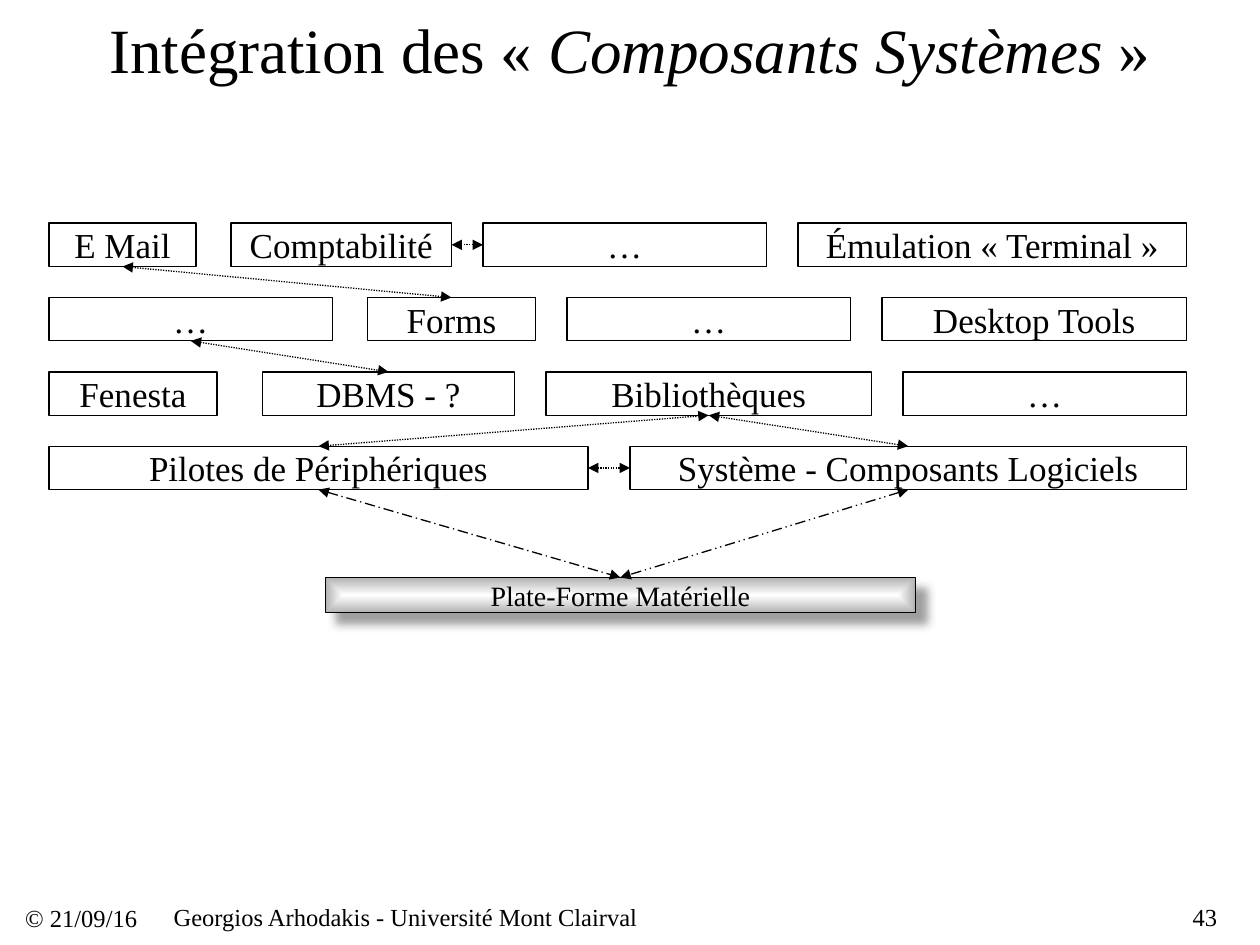
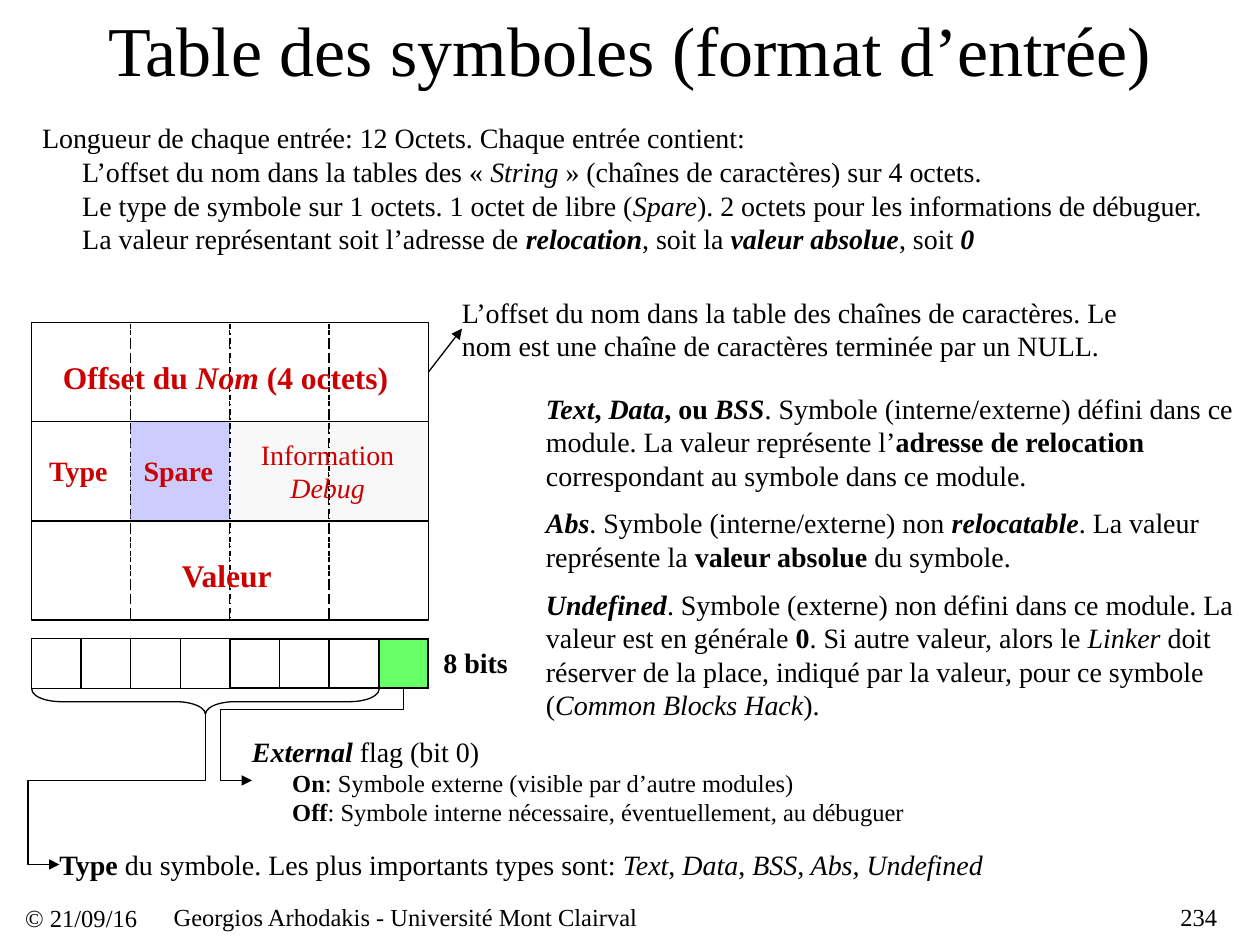
from dataclasses import dataclass
from typing import NamedTuple, Optional

from lxml import etree
from pptx import Presentation
from pptx.dml.color import RGBColor
from pptx.enum.dml import MSO_LINE
from pptx.enum.shapes import MSO_CONNECTOR, MSO_SHAPE
from pptx.enum.text import MSO_ANCHOR, PP_ALIGN
from pptx.oxml.ns import qn
from pptx.util import Pt

BLACK = RGBColor(0x00, 0x00, 0x00)
WHITE = RGBColor(0xFF, 0xFF, 0xFF)
STEEL = RGBColor(0xB2, 0xB2, 0xB2)
RED = RGBColor(0xCC, 0x00, 0x00)
LAVENDER = RGBColor(0xCC, 0xCC, 0xFF)
PALE = RGBColor(0xF8, 0xF8, 0xF8)
GREEN = RGBColor(0x66, 0xFF, 0x66)
FONT = "Times New Roman"
LEFT, CENTER, RIGHT = PP_ALIGN.LEFT, PP_ALIGN.CENTER, PP_ALIGN.RIGHT
RECT, BRACE = MSO_SHAPE.RECTANGLE, MSO_SHAPE.LEFT_BRACE
STRAIGHT, ELBOW = MSO_CONNECTOR.STRAIGHT, MSO_CONNECTOR.ELBOW
DOTS, DASH_DOT = MSO_LINE.ROUND_DOT, MSO_LINE.DASH_DOT
LONG_DASH, LONG_DASH_2 = MSO_LINE.LONG_DASH_DOT, MSO_LINE.DASH_DOT_DOT
TOP_SIDE, LEFT_SIDE, BOTTOM_SIDE, RIGHT_SIDE = range(4)


class Box(NamedTuple):
    x: float
    y: float
    w: float
    h: float


class Run(NamedTuple):
    text: str
    style: str = ""  # any of "b" (bold) and "i" (italic)


@dataclass
class Para:
    runs: list[Run]
    size: float = 16
    color: RGBColor = BLACK
    align: PP_ALIGN = LEFT
    indent: float = 0
    after: float = 0


class Component(NamedTuple):
    label: str
    x: float
    w: float


class Link(NamedTuple):
    start: tuple[int, int]
    start_side: int
    end: tuple[int, int]
    end_side: int


# Text, shapes and lines
def write(shape, paras: list[Para], inset: float = 0) -> None:
    frame = shape.text_frame
    frame.word_wrap = True
    frame.vertical_anchor = MSO_ANCHOR.MIDDLE
    frame.margin_left = frame.margin_right = Pt(inset)
    frame.margin_top = frame.margin_bottom = Pt(inset / 2)
    for i, para in enumerate(paras):
        p = frame.add_paragraph() if i else frame.paragraphs[0]
        p.alignment = para.align
        p.space_after = Pt(para.after)
        if para.indent:
            p.level = 1
            props = p._p.get_or_add_pPr()
            props.set("marL", str(Pt(para.indent)))
            props.set("indent", "0")
        for text, style in para.runs:
            run = p.add_run()
            run.text = text
            run.font.name, run.font.size = FONT, Pt(para.size)
            run.font.color.rgb = para.color
            run.font.bold, run.font.italic = "b" in style, "i" in style


def add_text(slide, box: Box, *paras: Para, inset: float = 0):
    text = slide.shapes.add_textbox(*map(Pt, box))
    write(text, list(paras), inset)
    return text


def stroke(line, width: float, dash: Optional[MSO_LINE]) -> None:
    line.color.rgb = BLACK
    line.width = Pt(width)
    if dash is not None:
        line.dash_style = dash


def add_outline(slide, box: Box, fill: Optional[RGBColor] = None, width: float = 0.75,
                dash: Optional[MSO_LINE] = None, kind: MSO_SHAPE = RECT):
    shape = slide.shapes.add_shape(kind, *map(Pt, box))
    shape.shadow.inherit = False
    if fill is None:
        shape.fill.background()
    else:
        shape.fill.solid()
        shape.fill.fore_color.rgb = fill
    stroke(shape.line, width, dash)
    return shape


def finish_connector(connector, ends: tuple[str, ...], dash: Optional[MSO_LINE] = None) -> None:
    stroke(connector.line, 0.75, dash)
    props = connector.element.spPr
    for end in ends:
        etree.SubElement(props.find(qn("a:ln")), qn(f"a:{end}End"), type="triangle")
    etree.SubElement(props, qn("a:effectLst"))


def join(slide, start, start_side: int, end, end_side: int, ends: tuple[str, ...],
         dash: Optional[MSO_LINE] = None) -> None:
    connector = slide.shapes.add_connector(STRAIGHT, 0, 0, 0, 0)
    connector.begin_connect(start, start_side)
    connector.end_connect(end, end_side)
    finish_connector(connector, ends, dash)


def add_bent_arrow(slide, start: tuple[float, float], end: tuple[float, float],
                   drop: float, overshoot: float) -> None:
    """Go down, left past the end, down again, then right into the end."""
    across, down = start[0] - end[0], end[1] - start[1]
    mid_x, mid_y = (start[0] + end[0]) / 2, (start[1] + end[1]) / 2
    x, y = mid_x - down / 2, mid_y - across / 2
    connector = slide.shapes.add_connector(ELBOW, Pt(x), Pt(y), Pt(x + down), Pt(y + across))
    props = connector.element.spPr
    props.find(qn("a:xfrm")).set("rot", str(90 * 60000))
    geometry = props.find(qn("a:prstGeom"))
    geometry.set("prst", "bentConnector4")
    guides = geometry.find(qn("a:avLst"))
    if guides is None:
        guides = etree.SubElement(geometry, qn("a:avLst"))
    for i, ratio in enumerate((drop / down, 1 + overshoot / across), 1):
        etree.SubElement(guides, qn("a:gd"), name=f"adj{i}", fmla=f"val {round(ratio * 100000)}")
    finish_connector(connector, ("tail",))


# Title and footer shared by the slides
def start_slide(prs, number: int, title: list[Run], title_size: float):
    slide = prs.slides.add_slide(prs.slide_layouts[6])
    footer = [
        (Box(14.4, 507.6, 78, 33.8), "© 21/09/16", LEFT),
        (Box(99.2, 515.5, 492, 16.6), "Georgios Arhodakis - Université Mont Clairval", LEFT),
        (Box(623.5, 515.5, 72, 16.6), str(number), RIGHT),
    ]
    for box, text, align in footer:
        add_text(slide, box, Para([Run(text)], 14, align=align))
    add_text(slide, Box(0, 0, 720, 55.4), Para(title, title_size, align=CENTER), inset=7.2)
    return slide


# Slide 1: layers of system components
LAYER_TOP, LAYER_STEP, LAYER_HEIGHT = 127.5, 42.5, 24.8
LAYERS = [
    [Component("E Mail", 28, 84), Component("Comptabilité", 132, 126),
     Component("…", 276, 162), Component("Émulation « Terminal »", 456, 222)],
    [Component("…", 28, 162), Component("Forms", 210, 96),
     Component("…", 324, 162), Component("Desktop Tools", 504, 174)],
    [Component("Fenesta", 28, 96), Component("DBMS - ?", 150, 144),
     Component("Bibliothèques", 312, 186), Component("…", 516, 162)],
    [Component("Pilotes de Périphériques", 28, 308),
     Component("Système - Composants Logiciels", 360, 318)],
]
LINKS = [
    Link((0, 0), BOTTOM_SIDE, (1, 1), TOP_SIDE),
    Link((0, 1), RIGHT_SIDE, (0, 2), LEFT_SIDE),
    Link((1, 0), BOTTOM_SIDE, (2, 1), TOP_SIDE),
    Link((2, 2), BOTTOM_SIDE, (3, 1), TOP_SIDE),
    Link((2, 2), BOTTOM_SIDE, (3, 0), TOP_SIDE),
    Link((3, 0), RIGHT_SIDE, (3, 1), LEFT_SIDE),
]


def add_platform(slide):
    platform = add_outline(slide, Box(186, 330, 337, 20.2))
    platform.fill.gradient()
    for stop, color in zip(platform.fill.gradient_stops, (WHITE, STEEL)):
        stop.color.rgb = color
    props = platform.element.spPr
    gradient = props.find(qn("a:gradFill"))
    gradient.remove(gradient.find(qn("a:lin")))
    path = etree.SubElement(gradient, qn("a:path"), path="shape")
    etree.SubElement(path, qn("a:fillToRect"), dict.fromkeys("ltrb", "50000"))
    shadow = etree.SubElement(props.find(qn("a:effectLst")), qn("a:outerShdw"),
                              blurRad=str(Pt(5)), dist=str(Pt(8.5)), dir=str(45 * 60000))
    tint = etree.SubElement(shadow, qn("a:srgbClr"), val="808080")
    etree.SubElement(tint, qn("a:alpha"), val="75000")
    write(platform, [Para([Run("Plate-Forme Matérielle")], align=CENTER)])
    return platform


def build_components(prs) -> None:
    slide = start_slide(prs, 43, [Run("Intégration des « "), Run("Composants Systèmes", "i"),
                                  Run(" »")], 36)
    platform = add_platform(slide)
    placed = {}
    for row, layer in enumerate(LAYERS):
        for col, part in enumerate(layer):
            box = Box(part.x, LAYER_TOP + row * LAYER_STEP, part.w, LAYER_HEIGHT)
            placed[row, col] = add_outline(slide, box)
            write(placed[row, col], [Para([Run(part.label)], 20, align=CENTER)])
    both = ("head", "tail")
    for link in LINKS:
        join(slide, placed[link.start], link.start_side, placed[link.end], link.end_side,
             both, DOTS)
    for col, dash in enumerate((LONG_DASH, LONG_DASH_2)):
        join(slide, placed[3, col], BOTTOM_SIDE, platform, TOP_SIDE, both, dash)


# Slide 2: layout of a symbol table entry
GRID_X, GRID_Y, OCTET = 18, 184.3, 56.7
BIT, BITS_Y = OCTET / 2, 365
ENTRY_FILLS = {(1, 1): LAVENDER, (1, 2): PALE, (1, 3): PALE}
SUMMARY = [
    [Run("L’offset du nom dans la tables des « "), Run("String", "i"),
     Run(" » (chaînes de caractères) sur 4 octets.")],
    [Run("Le type de symbole sur 1 octets. 1 octet de libre ("), Run("Spare", "i"),
     Run("). 2 octets pour les informations de débuguer.")],
    [Run("La valeur représentant soit l’adresse de "), Run("relocation", "bi"),
     Run(", soit la "), Run("valeur absolue", "bi"), Run(", soit "), Run("0", "bi")],
]
SYMBOL_TYPES = [
    [Run("Text", "bi"), Run(", ", "b"), Run("Data", "bi"), Run(", ou ", "b"), Run("BSS", "bi"),
     Run(". Symbole (interne/externe) défini dans ce module. La valeur représente l’"),
     Run("adresse de relocation", "b"), Run(" correspondant au symbole dans ce module.")],
    [Run("Abs", "bi"), Run(". Symbole (interne/externe) non "), Run("relocatable", "bi"),
     Run(". La valeur représente la "), Run("valeur absolue", "b"), Run(" du symbole.")],
    [Run("Undefined", "bi"),
     Run(". Symbole (externe) non défini dans ce module. La valeur est en générale "),
     Run("0", "b"), Run(". Si autre valeur, alors le "), Run("Linker", "i"),
     Run(" doit réserver de la place, indiqué par la valeur, pour ce symbole ("),
     Run("Common Blocks Hack", "i"), Run(").")],
]
FLAG_VALUES = [
    [Run("On", "b"), Run(": Symbole externe (visible par d’autre modules)")],
    [Run("Off", "b"), Run(": Symbole interne nécessaire, éventuellement, au débuguer")],
]
FIELD_LABELS = [
    (Box(36, 201.6, 188, 28), Para([Run("Offset du ", "b"), Run("Nom", "bi"),
                                    Run(" (4 octets)", "b")], 18, RED)),
    (Box(28.1, 255, 37, 28), Para([Run("Type", "b")], color=RED)),
    (Box(82.1, 255, 43, 28), Para([Run("Spare", "b")], color=RED)),
    (Box(144.7, 255, 85, 28), Para([Run("Information "), Run("Debug", "i")],
                                   color=RED, align=CENTER)),
    (Box(36, 314.6, 187.2, 28), Para([Run("Valeur", "b")], 18, RED, CENTER)),
]


def build_symbol_table(prs) -> None:
    slide = start_slide(prs, 234, [Run("Table des symboles (format d’entrée)")], 40)
    add_text(slide, Box(24, 69, 672, 77),
             Para([Run("Longueur de chaque entrée: 12 Octets. Chaque entrée contient:")]),
             *[Para(runs, indent=23) for runs in SUMMARY])

    # Three rows of four octets
    fields = []
    for row in range(3):
        y = GRID_Y + row * OCTET
        for col in range(4):
            add_outline(slide, Box(GRID_X + col * OCTET, y, OCTET, OCTET),
                        ENTRY_FILLS.get((row, col)), dash=DASH_DOT)
        fields.append(add_outline(slide, Box(GRID_X, y, 4 * OCTET, OCTET)))
    for box, label in FIELD_LABELS:
        add_text(slide, box, label)

    # The bits of the type octet
    for bit in range(8):
        add_outline(slide, Box(GRID_X + bit * BIT, BITS_Y, BIT, BIT),
                    GREEN if bit == 7 else None, width=1 if bit > 3 else 0.75)
    add_outline(slide, Box(GRID_X, BITS_Y, 8 * BIT, BIT))
    add_text(slide, Box(252, 367.5, 39.6, 22), Para([Run("8 bits", "b")], align=CENTER))
    brace = add_outline(slide, Box(110.2, 301.7, 14.4, 198.5), kind=BRACE)
    brace.rotation = 270
    brace.adjustments[0] = 1.17

    # Explanations and their arrows
    offset_note = add_text(slide, Box(264, 168, 382.5, 39.6), Para([Run(
        "L’offset du nom dans la table des chaînes de caractères. "
        "Le nom est une chaîne de caractères terminée par un NULL.")]))
    join(slide, fields[0], RIGHT_SIDE, offset_note, LEFT_SIDE, ("tail",))
    add_text(slide, Box(312, 221.8, 396, 192.2), *[Para(runs, after=8) for runs in SYMBOL_TYPES])
    add_text(slide, Box(144, 417.6, 374, 56.9),
             Para([Run("External", "bi"), Run(" flag (bit 0)")]),
             *[Para(runs, 14, indent=23) for runs in FLAG_VALUES])
    add_text(slide, Box(34, 484, 536, 20),
             Para([Run("Type", "b"), Run(" du symbole. Les plus importants types sont: "),
                   Run("Text", "i"), Run(", "), Run("Data", "i"), Run(", "),
                   Run("BSS, Abs, Undefined", "i")]))
    add_bent_arrow(slide, (117.5, 408.3), (34, 494), drop=37.5, overshoot=18)
    add_bent_arrow(slide, (230.6, 393.4), (144, 446), drop=12, overshoot=18)


def main() -> None:
    prs = Presentation()
    prs.slide_width, prs.slide_height = Pt(720), Pt(540)
    build_components(prs)
    build_symbol_table(prs)
    prs.save("out.pptx")


if __name__ == "__main__":
    main()
